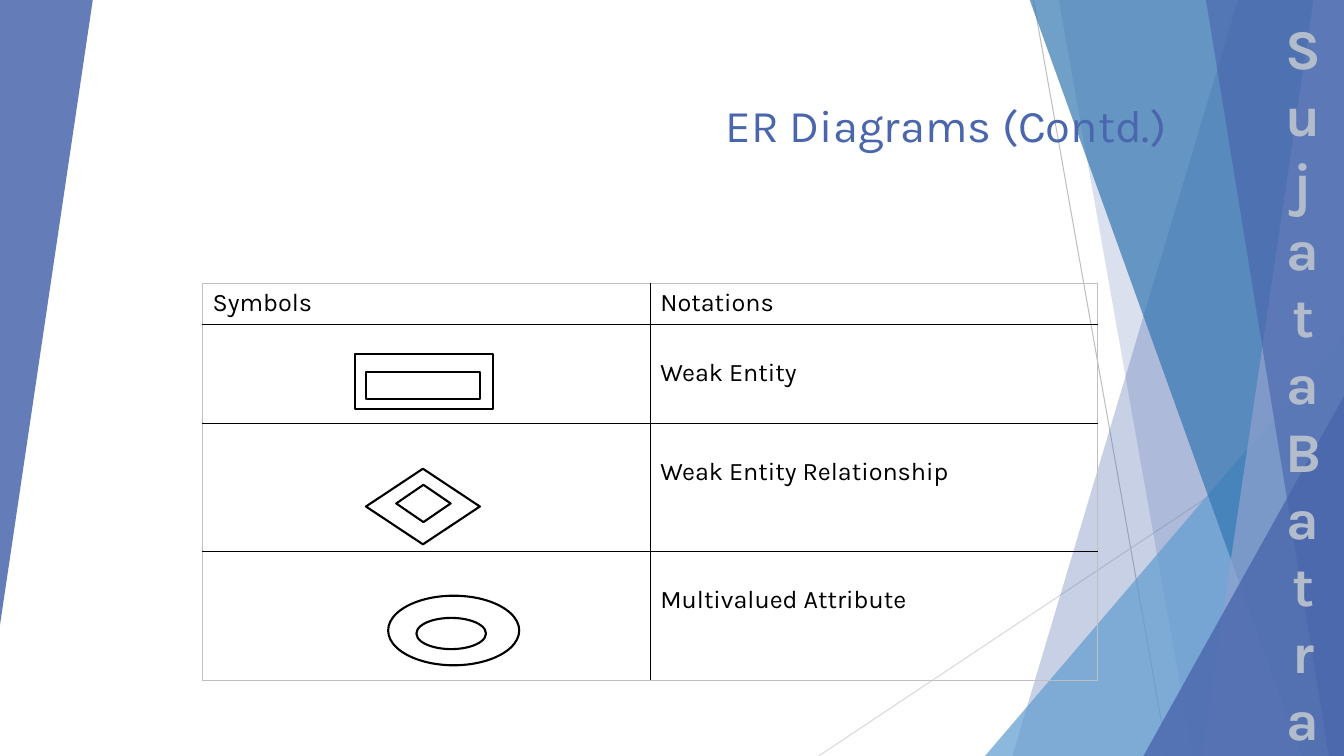
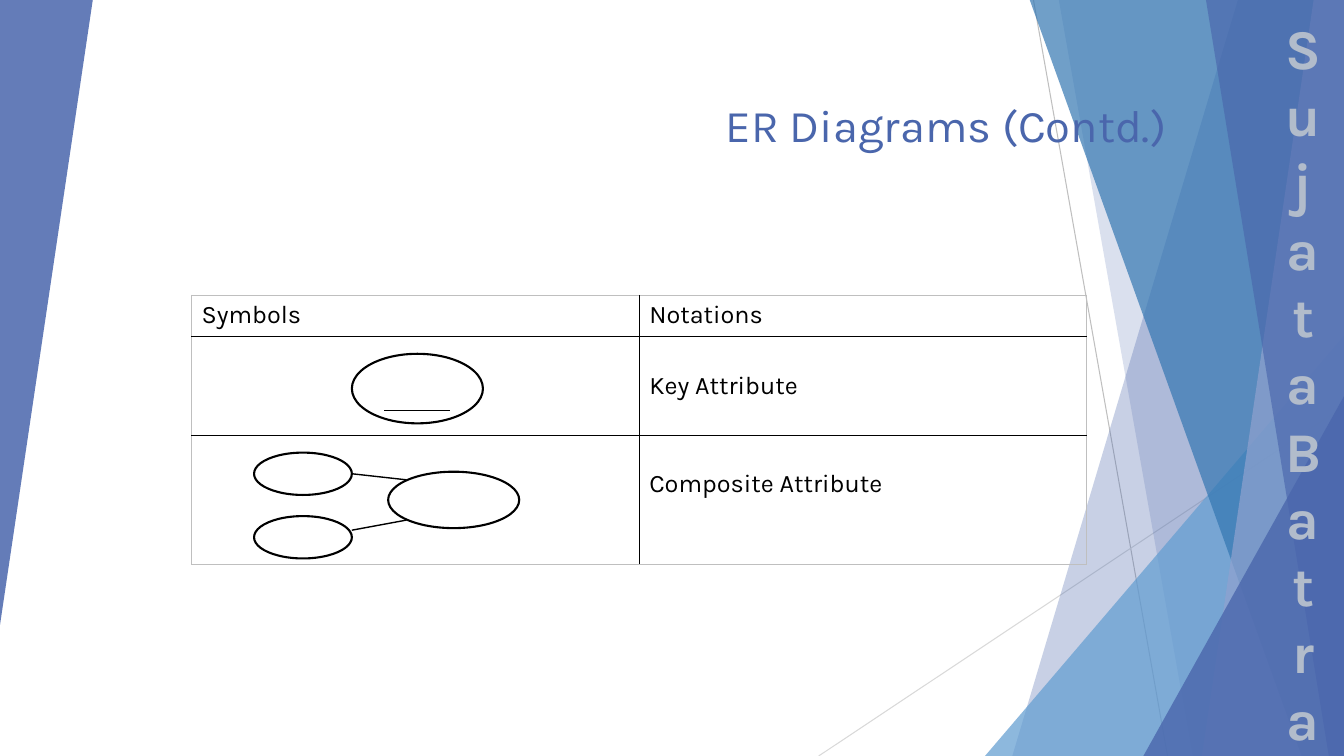
"""Build two slides on entity-relationship symbols over a shared faceted backdrop."""
from lxml import etree
from pptx import Presentation
from pptx.dml.color import RGBColor as RGB
from pptx.enum.shapes import MSO_CONNECTOR as CONN, MSO_SHAPE as SHAPE
from pptx.enum.text import MSO_ANCHOR as ANCHOR, MSO_AUTO_SIZE as AUTO, PP_ALIGN as ALIGN
from pptx.oxml.ns import qn
from pptx.util import Inches, Pt

COLORS = {
    "indigo": "4A66AC", "sky": "629DD1", "ocean": "3477B2", "lilac": "90A2CF",
    "silver": "BFBFBF", "mist": "D9D9D9", "steel": "B2BCCB",
    "black": "000000", "white": "FFFFFF",
}
FONT = "Karla"
WIDTH, HEIGHT = 13.33, 7.5


def rgb(name):
    return RGB.from_string(COLORS[name])


def write(tf, text, size=18, color="black", bold=False, align=ALIGN.LEFT):
    p = tf.paragraphs[0]
    p.alignment = align
    r = p.add_run()
    r.text = text
    r.font.name = FONT
    r.font.size = Pt(size)
    r.font.bold = bold
    r.font.color.rgb = rgb(color)


class Deck:
    def __init__(self):
        self.prs = Presentation()
        self.prs.slide_width = Inches(WIDTH)
        self.prs.slide_height = Inches(HEIGHT)
        self.layout = self.prs.slide_layouts[5]
        self.s = None

    def slide(self, title):
        self.s = self.prs.slides.add_slide(self.layout)
        if len(self.prs.slides) == 1:
            self.backdrop()
        sp = self.s.shapes.title
        sp.left, sp.top, sp.width, sp.height = map(Inches, (1.67, 1.24, 10, 1.1))
        tf = sp.text_frame
        tf.auto_size = AUTO.NONE
        tf.word_wrap = True
        tf.vertical_anchor = ANCHOR.BOTTOM
        tf.margin_top, tf.margin_bottom = 0, Inches(0.84)
        write(tf, title, size=32.4, color="indigo", align=ALIGN.RIGHT)

    def backdrop(self):
        parts = [
            self.line(10.25, 0, 11.58, HEIGHT, "silver", 0.75),
            self.line(WIDTH, 4.03, 8.12, HEIGHT, "mist", 0.75),
            self.panel(12.28, 10.04, "indigo", 30),
            self.panel(10.5, 11.83, "indigo", 20),
            self.wedge(9.77, 3.33, 3.56, 4.17, "sky", 72),
            self.panel(10.21, 12.91, "ocean", 70),
            self.panel(13.03, 11.92, "lilac", 70),
            self.panel(11.96, 13.18, "indigo", 65),
            self.wedge(11.34, 3.93, 1.99, 3.57, "indigo", 80),
            self.wedge(0, 0, 0.92, 6.2, "indigo", 85, rotation=180),
            self.side_name("Sujata Batra"),
        ]
        for number, part in enumerate(parts, 101):
            part.element.xpath(".//p:cNvPr")[0].set("id", str(number))
            self.layout.shapes.element.append(part.element)

    def tint(self, sp, color, alpha):
        sp.shadow.inherit = False
        sp.fill.solid()
        sp.fill.fore_color.rgb = rgb(color)
        sp.line.fill.background()
        clr = sp.element.xpath("./p:spPr/a:solidFill/a:srgbClr")[0]
        etree.SubElement(clr, qn("a:alpha")).set("val", str(alpha * 1000))
        return sp

    def panel(self, top_x, bottom_x, color, alpha):
        top = -0.01
        fb = self.s.shapes.build_freeform(Inches(top_x), Inches(top))
        corners = [(WIDTH, top), (WIDTH, HEIGHT), (bottom_x, HEIGHT)]
        fb.add_line_segments([(Inches(x), Inches(y)) for x, y in corners])
        return self.tint(fb.convert_to_shape(), color, alpha)

    def wedge(self, x, y, w, h, color, alpha, rotation=0):
        sp = self.s.shapes.add_shape(SHAPE.ISOSCELES_TRIANGLE, *map(Inches, (x, y, w, h)))
        sp.adjustments[0] = 1
        sp.rotation = rotation
        return self.tint(sp, color, alpha)

    def side_name(self, text):
        sp = self.s.shapes.add_textbox(*map(Inches, (12.62, 0.08, 0.61, 7.51)))
        sp.text_frame.word_wrap = True
        write(sp.text_frame, text, size=40, color="steel", bold=True, align=ALIGN.CENTER)
        return sp

    def line(self, x1, y1, x2, y2, color="black", width=1):
        cx = self.s.shapes.add_connector(CONN.STRAIGHT, *map(Inches, (x1, y1, x2, y2)))
        cx.line.color.rgb = rgb(color)
        cx.line.width = Pt(width)
        etree.SubElement(cx.element.spPr, qn("a:effectLst"))
        return cx

    def symbol(self, kind, x, y, w, h):
        sp = self.s.shapes.add_shape(kind, *map(Inches, (x, y, w, h)))
        sp.shadow.inherit = False
        sp.fill.solid()
        sp.fill.fore_color.rgb = rgb("white")
        sp.line.color.rgb = rgb("black")
        sp.line.width = Pt(1.5)

    def border(self, cell, sides):
        tc_pr = cell.fill and cell._tc.get_or_add_tcPr()
        for i, (side, color) in enumerate(sides.items()):
            ln = etree.Element(qn(f"a:ln{side}"), w=str(Pt(1 if color == "black" else 0.75)))
            fill = etree.SubElement(ln, qn("a:solidFill"))
            etree.SubElement(fill, qn("a:srgbClr"), val=COLORS[color])
            tc_pr.insert(i, ln)

    def table(self, x, y, heights, notations):
        rows = len(heights)
        size = map(Inches, (x, y, 8.88, sum(heights)))
        tbl = self.s.shapes.add_table(rows, 2, *size).table
        tbl.first_row = tbl.horz_banding = False
        for col in tbl.columns:
            col.width = Inches(4.44)
        for i, height in enumerate(heights):
            tbl.rows[i].height = Inches(height)
            for j in range(2):
                cell = tbl.cell(i, j)
                cell.fill.background()
                outer = {"L": j == 0, "R": j == 1, "T": i == 0, "B": i == rows - 1}
                self.border(cell, {k: "silver" if v else "black" for k, v in outer.items()})
                if i:
                    cell.margin_top = Inches(0.34)
        write(tbl.cell(0, 0).text_frame, "Symbols")
        for i, text in enumerate(["Notations"] + notations):
            write(tbl.cell(i, 1).text_frame, text)


def main():
    deck = Deck()
    title = "ER Diagrams (Contd.)"

    deck.slide(title)
    deck.table(2.01, 2.81, [0.41, 0.98, 1.27, 1.28],
               ["Weak Entity", "Weak Entity Relationship", "Multivalued Attribute"])
    for kind, outer, inner in [
        (SHAPE.RECTANGLE, (3.52, 3.51, 1.37, 0.55), (3.63, 3.69, 1.13, 0.27)),
        (SHAPE.DIAMOND, (3.63, 4.65, 1.13, 0.75), (3.93, 4.81, 0.54, 0.37)),
        (SHAPE.OVAL, (3.85, 5.91, 1.3, 0.69), (4.13, 6.13, 0.69, 0.31)),
    ]:
        deck.symbol(kind, *outer)
        deck.symbol(kind, *inner)

    deck.slide(title)
    deck.table(1.9, 2.93, [0.41, 0.98, 1.28], ["Key Attribute", "Composite Attribute"])
    deck.symbol(SHAPE.OVAL, 3.49, 3.51, 1.3, 0.69)
    deck.line(3.81, 4.07, 4.46, 4.07)
    deck.symbol(SHAPE.OVAL, 3.85, 4.68, 1.3, 0.56)
    for oval_y, start_y, end_y in [(4.49, 4.7, 4.76), (5.12, 5.26, 5.16)]:
        deck.symbol(SHAPE.OVAL, 2.52, oval_y, 0.97, 0.42)
        deck.line(3.49, start_y, 4.03, end_y)

    deck.prs.save("out.pptx")


if __name__ == "__main__":
    main()
